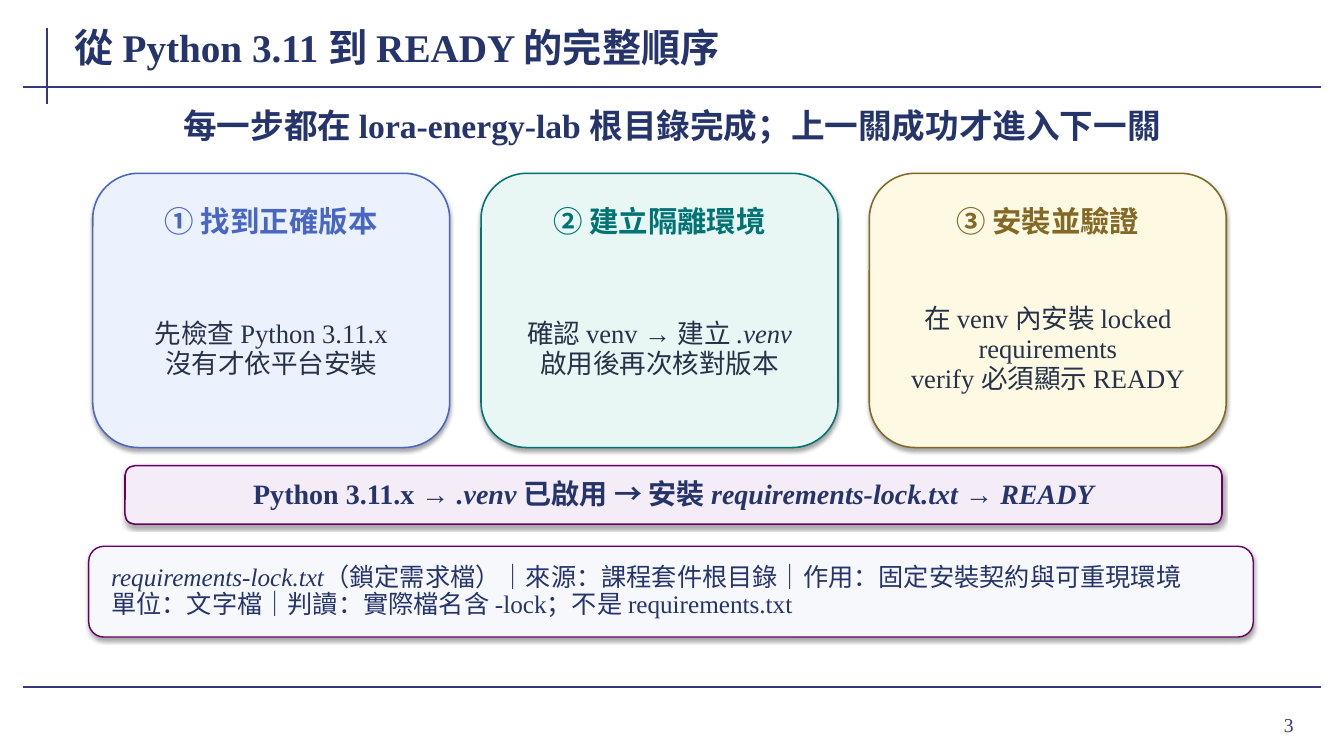
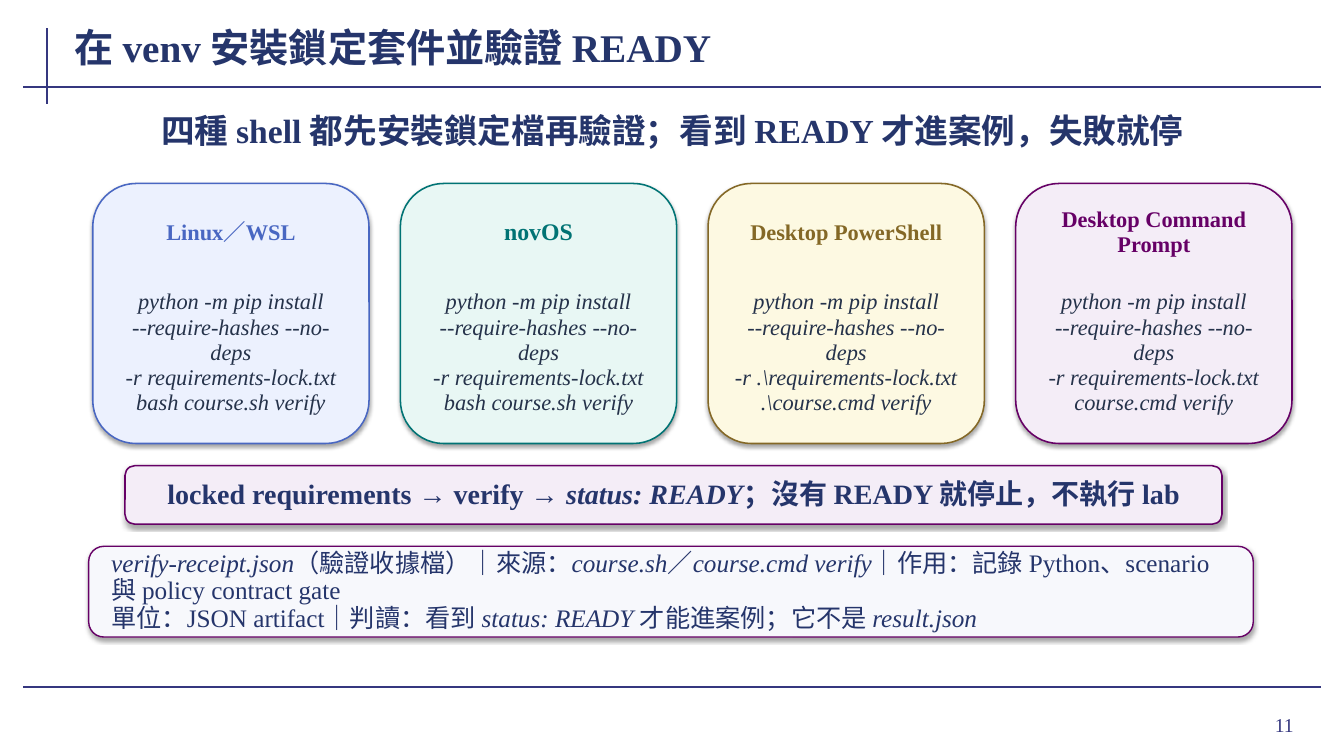
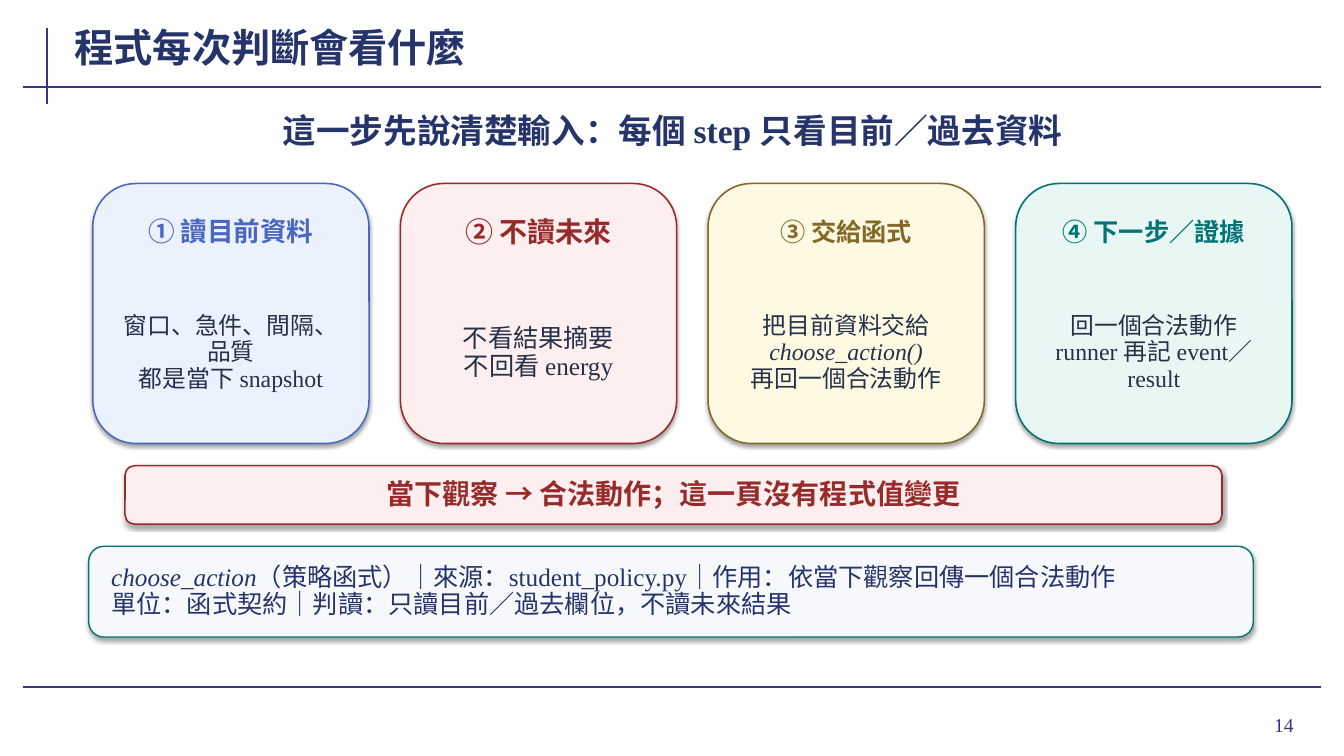
from lxml.etree import SubElement
from pptx import Presentation
from pptx.dml.color import RGBColor
from pptx.enum.shapes import MSO_CONNECTOR, MSO_SHAPE
from pptx.enum.text import MSO_ANCHOR, MSO_AUTO_SIZE, PP_ALIGN
from pptx.oxml import parse_xml
from pptx.oxml.ns import nsdecls, qn
from pptx.util import Inches, Pt

FONT = "Times New Roman"
COLORS = {
    "rule": "35377F", "navy": "25356B", "ink": "25324A", "note": "F7F8FC",
    "blue": "4967C2", "blue_fill": "ECF1FE",
    "teal": "007374", "teal_fill": "E8F7F4",
    "gold": "846826", "gold_fill": "FDF9E2",
    "purple": "660066", "purple_fill": "F4EDF7",
    "red": "992A2A", "red_fill": "FDEFEF",
}
SHADOW = (
    f'<a:effectLst {nsdecls("a")}>'
    f'<a:outerShdw blurRad="{Pt(3.1)}" dist="{Pt(1.8)}" dir="5400000" rotWithShape="0">'
    '<a:srgbClr val="000000"><a:alpha val="35000"/></a:srgbClr>'
    '</a:outerShdw></a:effectLst>'
)
# Positions and sizes are percentages of the slide's width and height.
RULES = [(3.53, 3.73, 3.53, 13.73), (1.73, 11.47, 98.27, 11.47), (1.73, 90.93, 98.27, 90.93)]
TITLE = (5.4, 2.67, 77.64, 7.07)
NUMBER = (89.72, 92.4, 7.28, 6.93)
BAR = (9.3, 61.6, 81.62, 7.73)
NOTE = (6.6, 72.27, 86.65, 12)
CARD_LEFT, CARD_GAP = 6.9, 2.33
LAYOUTS = {
    3: {"lead": (7.05, 13.07, 85.9, 6.93), "spacing": 1, "card": (22.93, 26.56, 36.27)},
    4: {"lead": (7.65, 14, 84.77, 6.93), "spacing": 0.96, "card": (24.27, 20.56, 34.4)},
}


def rgb(name):
    return RGBColor.from_string(COLORS[name])


class Deck:
    def __init__(self):
        self.prs = Presentation()
        self.prs.slide_width, self.prs.slide_height = Inches(13.33), Inches(7.5)
        self.layout = self.prs.slide_layouts[5]
        self.s = None

    def box(self, x, y, w, h):
        """Turn percentages of the slide into lengths."""
        width, height = self.prs.slide_width, self.prs.slide_height
        return [round(v * side / 100) for v, side in zip((x, y, w, h), (width, height) * 2)]

    def fill_text(self, shape, text, size, color, bold=False, align=PP_ALIGN.CENTER,
                  spacing=1, inset=(0.02, 0)):
        """Fill a shape with lines of text; asterisks enclose italics."""
        tf = shape.text_frame
        tf.word_wrap, tf.auto_size = True, MSO_AUTO_SIZE.NONE
        tf.vertical_anchor = MSO_ANCHOR.MIDDLE
        tf.margin_left = tf.margin_right = Inches(inset[0])
        tf.margin_top = tf.margin_bottom = Inches(inset[1])
        for i, line in enumerate(text.split("\n")):
            p = tf.add_paragraph() if i else tf.paragraphs[0]
            p.alignment, p.line_spacing = align, spacing
            for j, part in enumerate(line.split("*")):
                if part:
                    r = p.add_run()
                    r.text = part
                    r.font.name, r.font.size = FONT, Pt(size)
                    r.font.bold, r.font.italic = bold, j % 2 == 1
                    r.font.color.rgb = rgb(color)

    def text(self, place, text, size, color, **style):
        self.fill_text(self.s.shapes.add_textbox(*self.box(*place)), text, size, color, **style)

    def panel(self, place, fill, line, width=1.1):
        sp = self.s.shapes.add_shape(MSO_SHAPE.ROUNDED_RECTANGLE, *self.box(*place))
        sp.fill.solid()
        sp.fill.fore_color.rgb = rgb(fill)
        sp.line.color.rgb = rgb(line)
        sp.line.width = Pt(width)
        sp.element.spPr.append(parse_xml(SHADOW))
        return sp

    def add_rules(self):
        """Draw the frame lines and move them to the shared layout."""
        for ends in RULES:
            line = self.s.shapes.add_connector(MSO_CONNECTOR.STRAIGHT, *self.box(*ends))
            line.line.color.rgb = rgb("rule")
            line.line.width = Pt(1.5)
            SubElement(line.element.spPr, qn("a:effectLst"))
            self.layout.shapes.element.append(line.element)

    def slide(self, number, title, lead, cards, bar, note):
        first = self.s is None
        self.s = self.prs.slides.add_slide(self.layout)
        if first:
            self.add_rules()
        heading = self.s.shapes.title
        heading.left, heading.top, heading.width, heading.height = self.box(*TITLE)
        self.fill_text(heading, title, 28, "navy", bold=True, align=PP_ALIGN.LEFT)
        self.text(NUMBER, str(number), 14, "rule", align=PP_ALIGN.RIGHT, inset=(0.1, 0.05))
        grid = LAYOUTS[len(cards)]
        self.text(grid["lead"], lead, 24, "navy", bold=True, spacing=grid["spacing"])
        for column, card in enumerate(cards):
            self.card(column, *grid["card"], *card)
        self.bar(*bar)
        self.note(*note)

    def card(self, column, y, w, h, color, head_size, head, body_size, body):
        x = CARD_LEFT + column * (w + CARD_GAP)
        self.panel((x, y, w, h), color + "_fill", color)
        self.text((x + 1.2, y + 2.67, w - 2.4, 7.73), head, head_size, color,
                  bold=True, spacing=0.92, inset=(0.03, 0.01))
        self.text((x + 1.35, y + 13.07, w - 2.7, h - 15.73), body, body_size, "ink",
                  spacing=0.94, inset=(0.05, 0.01))

    def bar(self, color, text_color, text):
        self.fill_text(self.panel(BAR, color + "_fill", color), text, 20, text_color,
                       bold=True, spacing=0.95, inset=(0.12, 0.04))

    def note(self, color, text):
        self.fill_text(self.panel(NOTE, "note", color, 1), text, 18, "navy",
                       align=PP_ALIGN.LEFT, spacing=0.9, inset=(0.18, 0.03))


def install_steps(lock_file, verify):
    lines = ["python -m pip install", "--require-hashes --no-deps", f"-r {lock_file}", verify]
    return "\n".join(f"*{line}*" for line in lines)


def main():
    deck = Deck()
    deck.slide(
        3, "從 Python 3.11 到 READY 的完整順序",
        "每一步都在 lora-energy-lab 根目錄完成；上一關成功才進入下一關",
        [("blue", 21, "① 找到正確版本", 19, "先檢查 Python 3.11.x\n沒有才依平台安裝"),
         ("teal", 21, "② 建立隔離環境", 19, "確認 venv → 建立 *.venv*\n啟用後再次核對版本"),
         ("gold", 21, "③ 安裝並驗證", 19,
          "在 venv 內安裝 locked requirements\nverify 必須顯示 READY")],
        ("purple", "navy",
         "Python 3.11.x → *.venv* 已啟用 → 安裝 *requirements-lock.txt* → *READY*"),
        ("purple",
         "*requirements-lock.txt*（鎖定需求檔）｜來源：課程套件根目錄｜作用：固定安裝契約與可重現環境\n"
         "單位：文字檔｜判讀：實際檔名含 -lock；不是 requirements.txt"))

    lock = "requirements-lock.txt"
    deck.slide(
        11, "在 venv 安裝鎖定套件並驗證 READY",
        "四種 shell 都先安裝鎖定檔再驗證；看到 READY 才進案例，失敗就停",
        [("blue", 16, "Linux／WSL", 16, install_steps(lock, "bash course.sh verify")),
         ("teal", 17, "novOS", 16, install_steps(lock, "bash course.sh verify")),
         ("gold", 16, "Desktop PowerShell", 16,
          install_steps(".\\" + lock, ".\\course.cmd verify")),
         ("purple", 16, "Desktop Command Prompt", 16, install_steps(lock, "course.cmd verify"))],
        ("purple", "navy",
         "locked requirements → verify → *status: READY*；沒有 READY 就停止，不執行 lab"),
        ("purple",
         "*verify-receipt.json*（驗證收據檔）｜來源：*course.sh*／*course.cmd verify*"
         "｜作用：記錄 Python、scenario 與 policy contract gate\n"
         "單位：JSON artifact｜判讀：看到 *status: READY* 才能進案例；它不是 *result.json*"))

    deck.slide(
        14, "程式每次判斷會看什麼",
        "這一步先說清楚輸入：每個 step 只看目前／過去資料",
        [("blue", 19, "① 讀目前資料", 17, "窗口、急件、間隔、品質\n都是當下 snapshot"),
         ("red", 20, "② 不讀未來", 18, "不看結果摘要\n不回看 energy"),
         ("gold", 18, "③ 交給函式", 17, "把目前資料交給 *choose_action()*\n再回一個合法動作"),
         ("teal", 18, "④ 下一步／證據", 17, "回一個合法動作\nrunner 再記 event／result")],
        ("red", "red", "當下觀察 → 合法動作；這一頁沒有程式值變更"),
        ("teal",
         "*choose_action*（策略函式）｜來源：student_policy.py｜作用：依當下觀察回傳一個合法動作\n"
         "單位：函式契約｜判讀：只讀目前／過去欄位，不讀未來結果"))
    deck.prs.save("out.pptx")


if __name__ == "__main__":
    main()
